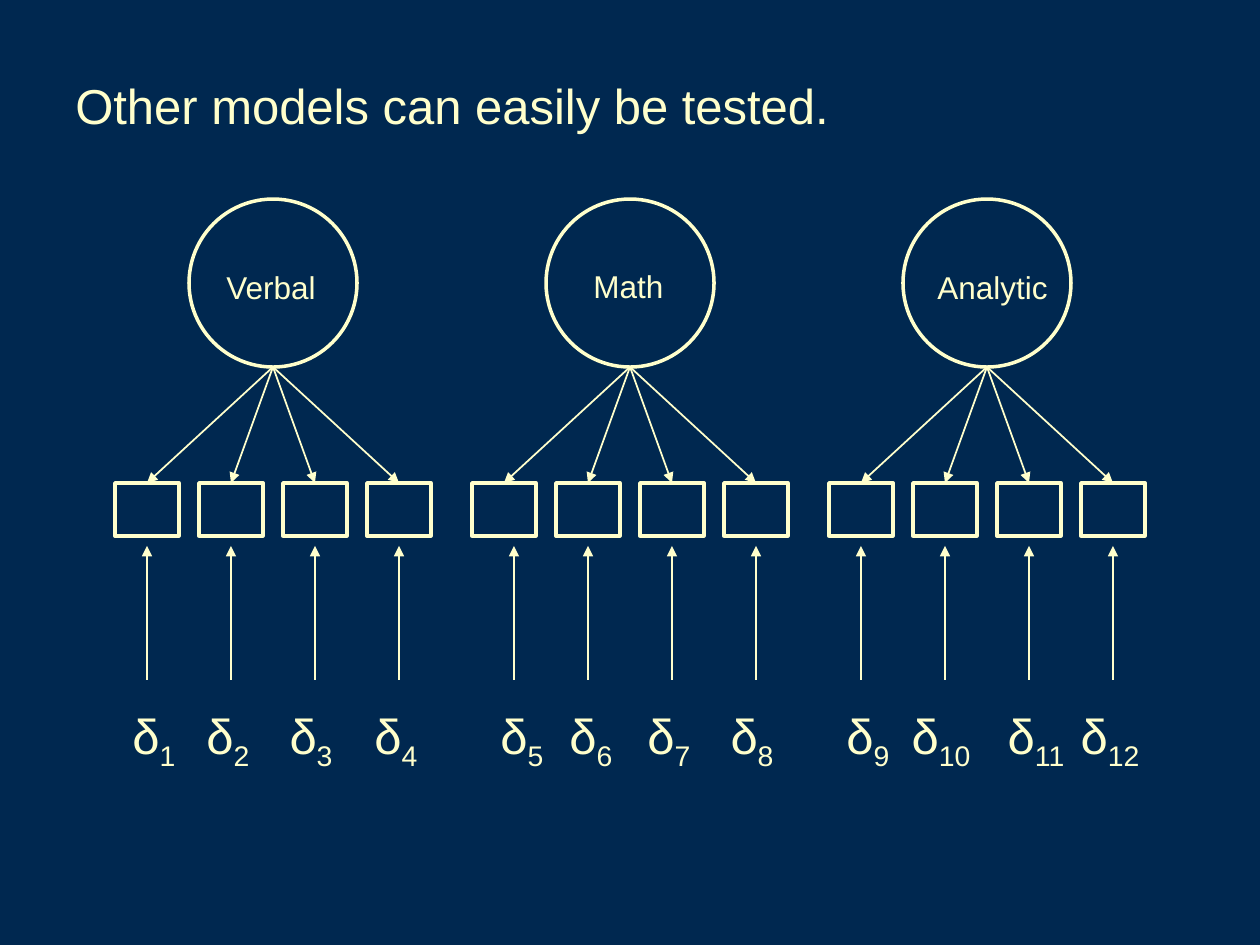
from lxml.etree import SubElement
from pptx import Presentation
from pptx.dml.color import RGBColor
from pptx.enum.shapes import MSO_CONNECTOR, MSO_SHAPE
from pptx.enum.text import MSO_AUTO_SIZE, PP_ALIGN
from pptx.oxml.ns import qn
from pptx.util import Emu, Pt

NAVY = RGBColor(0x00, 0x28, 0x50)
CREAM = RGBColor(0xFF, 0xFF, 0xCC)
SCALE = 914400 / 126
MODELS = [
    (273, ("Verbal", 214, 258, 116), (105, 179, 262, 347), (147, 231, 315, 399)),
    (630, ("Math", 581, 257, 95), (473, 542, 620, 703), (514, 588, 672, 756)),
    (987, ("Analytic", 925, 258, 135), (819, 892, 987, 1061), (861, 945, 1029, 1113)),
]
FRAME = {"auto_size": MSO_AUTO_SIZE.NONE}
FONT = {"name": "Arial"}


def px(*nums):
    """Turn px lengths into EMU."""
    return [Emu(round(num * SCALE)) for num in nums]


def style(item, form):
    """Set each format value on an item."""
    for key, value in form.items():
        setattr(item, key, value)


def add_text(slide, box, runs, size, top, wrap=True, align=PP_ALIGN.LEFT):
    """Add a text box whose runs are pairs of words and baseline shift."""
    frame = slide.shapes.add_textbox(*px(*box)).text_frame
    style(frame, {**FRAME, "word_wrap": wrap, "margin_top": px(top)[0]})
    para = frame.paragraphs[0]
    para.alignment = align
    for words, shift in runs:
        run = para.add_run()
        run.text = words
        style(run.font, {**FONT, "size": Pt(size)})
        run.font.color.rgb = CREAM
        if shift:
            run.font._element.set("baseline", str(shift))


def add_node(slide, kind, box):
    """Add an outlined shape with no fill."""
    node = slide.shapes.add_shape(kind, *px(*box))
    node.shadow.inherit = False
    node.fill.background()
    node.line.color.rgb = CREAM
    node.line.width = Pt(2)
    return node


def add_arrow(slide, start, end, node=None):
    """Add an arrow, joined to the top of a node if one is given."""
    arrow = slide.shapes.add_connector(MSO_CONNECTOR.STRAIGHT, *px(*start, *end))
    if node is not None:
        arrow.end_connect(node, 0)
    arrow.line.color.rgb = CREAM
    arrow.line.width = Pt(1)
    SubElement(arrow.line._get_or_add_ln(), qn("a:tailEnd"), type="triangle")
    SubElement(arrow._element.spPr, qn("a:effectLst"))


def add_model(slide, first, mid, label, lefts, stems):
    """Add one factor with its four measures and error terms."""
    add_node(slide, MSO_SHAPE.OVAL, (mid - 84, 199, 168, 168))
    name, left, top, width = label
    add_text(slide, (left, top, width, 50), [(name, 0)], 18, 10, wrap=False)
    for step, (left, stem) in enumerate(zip(lefts, stems)):
        hub = mid - 126 + 84 * step
        node = add_node(slide, MSO_SHAPE.RECTANGLE, (hub - 32, 483, 64, 53))
        add_arrow(slide, (mid, 367), (hub, 483), node)
        add_arrow(slide, (stem, 680), (stem, 546))
        runs = [("δ", 0), (str(first + step), -25000)]
        add_text(slide, (left, 693, 98, 79), runs, 28, 12, align=PP_ALIGN.CENTER)


def main():
    """Build and save the slide."""
    deck = Presentation()
    style(deck, dict(zip(("slide_width", "slide_height"), px(1260, 945))))
    slide = deck.slides.add_slide(deck.slide_layouts[6])
    slide.background.fill.solid()
    slide.background.fill.fore_color.rgb = NAVY
    title = [("Other models can easily be tested.", 0)]
    add_text(slide, (63, 63, 872, 72), title, 28, 12)
    for index, model in enumerate(MODELS):
        add_model(slide, 4 * index + 1, *model)
    deck.save("out.pptx")


if __name__ == "__main__":
    main()
